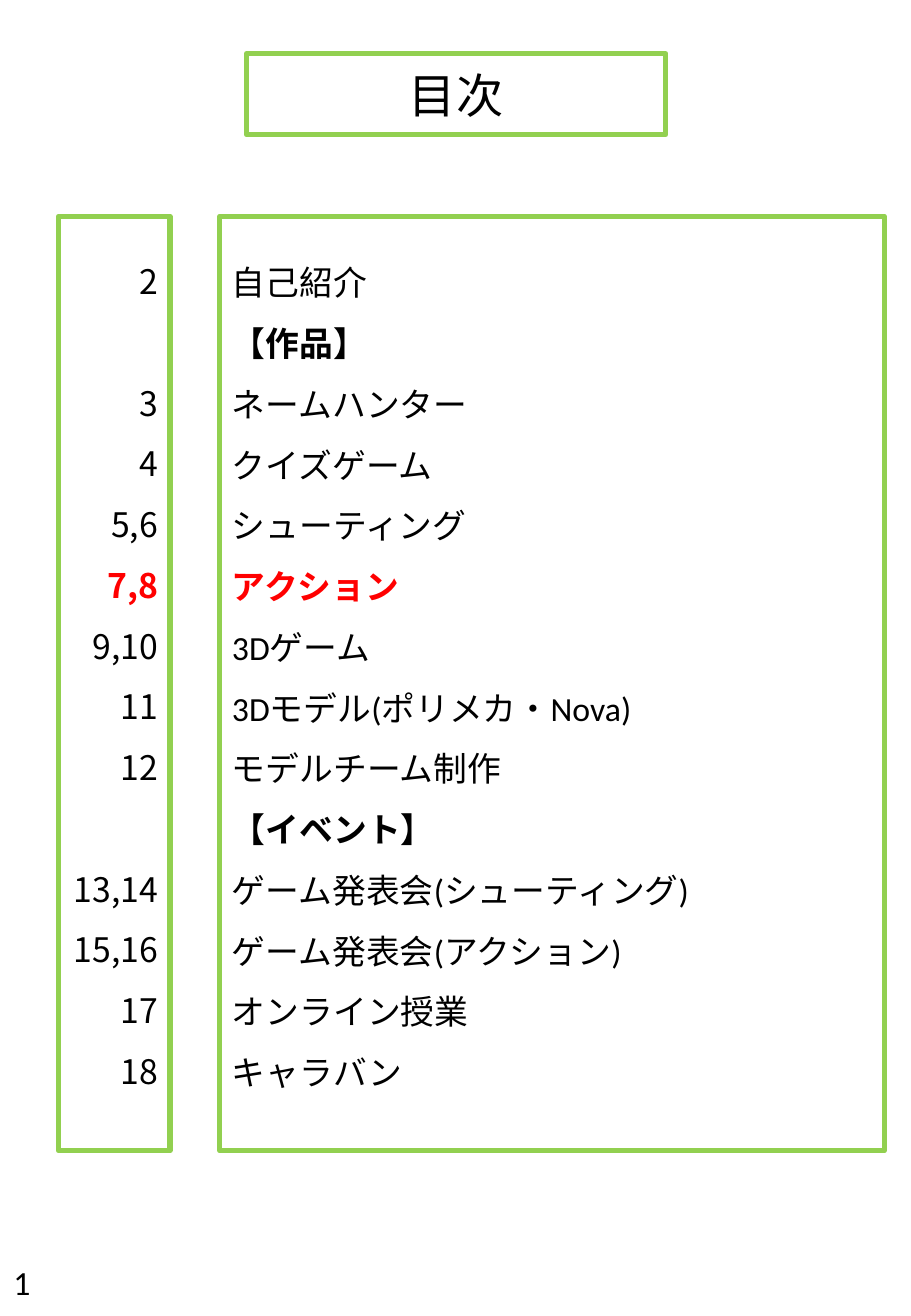
from dataclasses import dataclass

from lxml import etree
from pptx import Presentation
from pptx.dml.color import RGBColor
from pptx.enum.shapes import MSO_SHAPE
from pptx.enum.text import MSO_ANCHOR, MSO_AUTO_SIZE, PP_ALIGN
from pptx.oxml.ns import qn
from pptx.util import Inches, Pt

RECTANGLE = MSO_SHAPE.RECTANGLE
TOP, MIDDLE = MSO_ANCHOR.TOP, MSO_ANCHOR.MIDDLE
LEFT, CENTER, RIGHT = PP_ALIGN.LEFT, PP_ALIGN.CENTER, PP_ALIGN.RIGHT
NO_AUTOFIT = MSO_AUTO_SIZE.NONE


@dataclass(frozen=True)
class Theme:
    paper: RGBColor = RGBColor(0xFF, 0xFF, 0xFF)
    ink: RGBColor = RGBColor(0x00, 0x00, 0x00)
    accent: RGBColor = RGBColor(0xFF, 0x00, 0x00)
    frame: RGBColor = RGBColor(0x92, 0xD0, 0x50)
    frame_width: Pt = Pt(3)
    latin_font: str = "Calibri"
    japanese_font: str = "Noto Sans CJK JP"
    title_size: Pt = Pt(28)
    text_size: Pt = Pt(20)
    row_height: Pt = Pt(36)


THEME = Theme()
HIGHLIGHT = "アクション"
CONTENTS = [
    ("2", "自己紹介"),
    (None, "【作品】"),
    ("3", "ネームハンター"),
    ("4", "クイズゲーム"),
    ("5,6", "シューティング"),
    ("7,8", HIGHLIGHT),
    ("9,10", "3Dゲーム"),
    ("11", "3Dモデル(ポリメカ・Nova)"),
    ("12", "モデルチーム制作"),
    (None, "【イベント】"),
    ("13,14", "ゲーム発表会(シューティング)"),
    ("15,16", "ゲーム発表会(アクション)"),
    ("17", "オンライン授業"),
    ("18", "キャラバン"),
]


def place(shape, left, top, width, height):
    shape.left, shape.top = Inches(left), Inches(top)
    shape.width, shape.height = Inches(width), Inches(height)


def draw_frame(shape):
    shape.fill.solid()
    shape.fill.fore_color.rgb = THEME.paper
    shape.line.color.rgb = THEME.frame
    shape.line.width = THEME.frame_width


def set_up_text(shape, anchor, top_inset=0.05):
    frame = shape.text_frame
    frame.auto_size = NO_AUTOFIT
    frame.word_wrap = True
    frame.vertical_anchor = anchor
    frame.margin_left = frame.margin_right = Inches(0.1)
    frame.margin_top, frame.margin_bottom = Inches(top_inset), Inches(0.05)
    return frame


def format_paragraph(paragraph, alignment, font_name, size,
                     color=THEME.ink, bold=False):
    paragraph.alignment = alignment
    for run in paragraph.runs:
        run.font.name = font_name
        run.font.size = size
        run.font.bold = bold
        run.font.color.rgb = color
        east_asian = etree.SubElement(run.font._element, qn("a:ea"))
        east_asian.set("typeface", THEME.japanese_font)


def remove_bullet(paragraph):
    properties = paragraph._p.get_or_add_pPr()
    properties.set("marL", "0")
    properties.set("indent", "0")
    etree.SubElement(properties, qn("a:buNone"))


def write_single_line(shape, text, alignment, font_name, size):
    frame = set_up_text(shape, MIDDLE)
    frame.text = text
    format_paragraph(frame.paragraphs[0], alignment, font_name, size)


def write_column(shape, rows, alignment, font_name, top_inset):
    frame = set_up_text(shape, TOP, top_inset)
    frame.text = "\n".join(text for text, *_ in rows)
    for paragraph, (_, skipped, color, bold) in zip(frame.paragraphs, rows):
        paragraph.line_spacing = THEME.row_height
        paragraph.space_before = THEME.row_height if skipped else Pt(0)
        paragraph.space_after = Pt(0)
        remove_bullet(paragraph)
        format_paragraph(paragraph, alignment, font_name, THEME.text_size,
                         color, bold)


def build_rows():
    page_rows, entry_rows = [], []
    after_heading = False
    for pages, entry in CONTENTS:
        highlighted = entry == HIGHLIGHT
        color = THEME.accent if highlighted else THEME.ink
        heading = pages is None
        entry_rows.append((entry, False, color, highlighted or heading))
        if not heading:
            page_rows.append((pages, after_heading, color, highlighted))
        after_heading = heading
    return page_rows, entry_rows


def main():
    presentation = Presentation()
    presentation.slide_width = Inches(7.5)
    presentation.slide_height = Inches(10.83)
    slide = presentation.slides.add_slide(presentation.slide_layouts[1])
    page_rows, entry_rows = build_rows()

    title = slide.shapes.title
    place(title, 2.03, 0.44, 3.45, 0.67)
    draw_frame(title)
    write_single_line(title, "目次", CENTER, THEME.japanese_font,
                      THEME.title_size)

    page_column = slide.shapes.add_shape(RECTANGLE, 0, 0, 0, 0)
    page_column.shadow.inherit = False
    place(page_column, 0.48, 1.78, 0.92, 7.69)
    draw_frame(page_column)
    write_column(page_column, page_rows, RIGHT, THEME.japanese_font, 0.2)

    entry_column = slide.placeholders[1]
    place(entry_column, 1.81, 1.78, 5.47, 7.69)
    draw_frame(entry_column)
    write_column(entry_column, entry_rows, LEFT, THEME.latin_font, 0.21)

    page_number = slide.shapes.add_textbox(0, 0, 0, 0)
    place(page_number, 0, 10.26, 0.35, 0.58)
    write_single_line(page_number, "1", RIGHT, THEME.latin_font,
                      THEME.text_size)

    presentation.save("out.pptx")


main()
